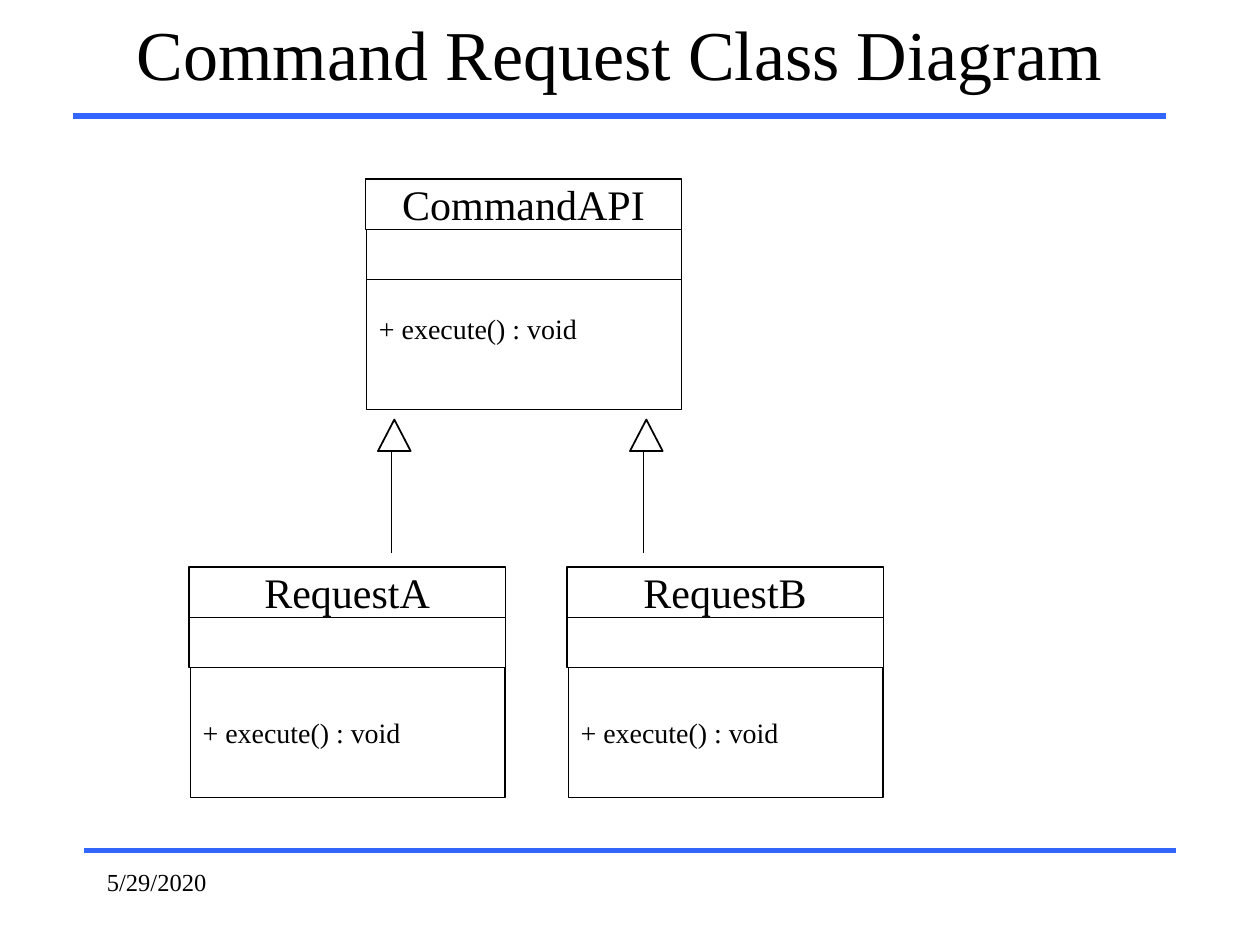
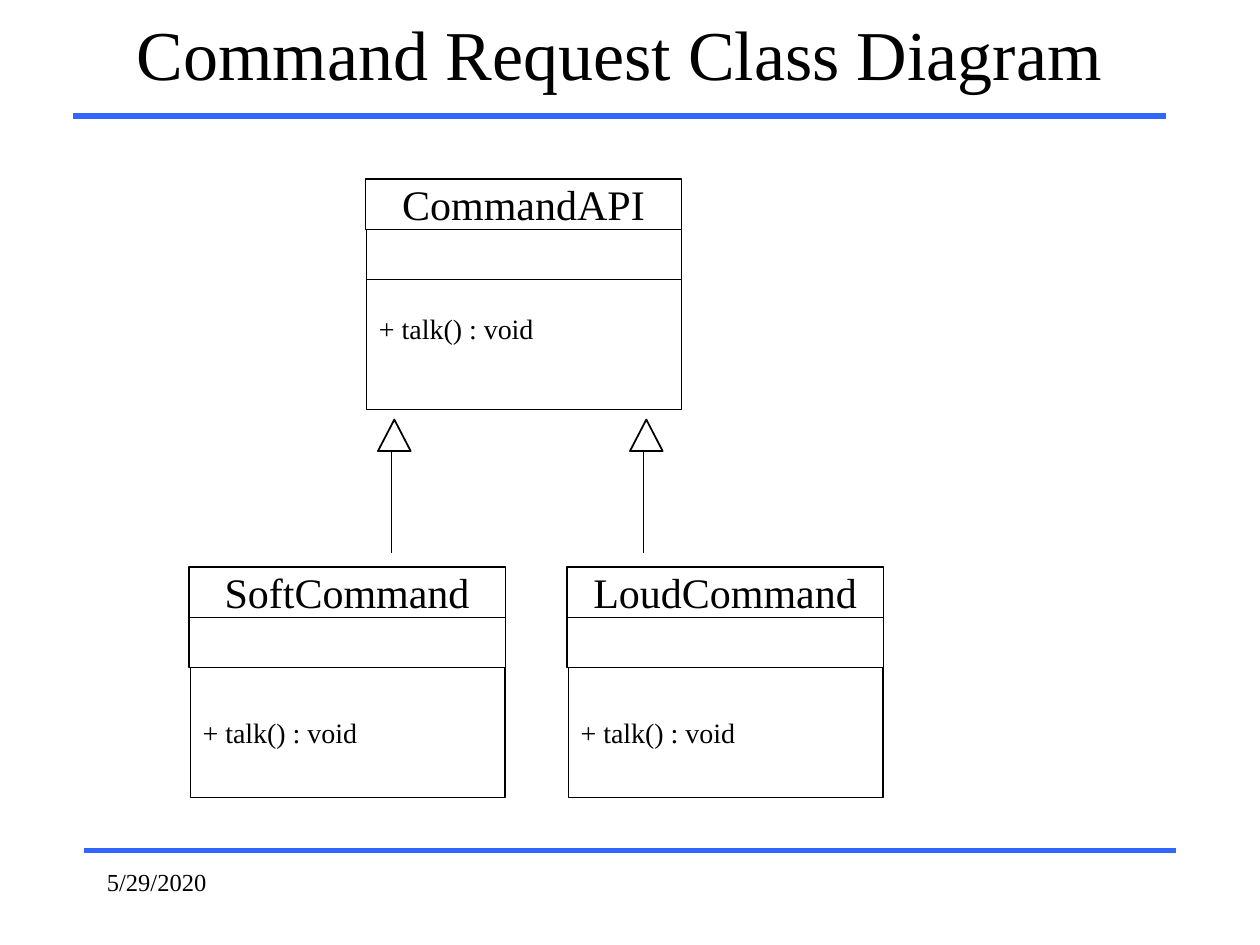
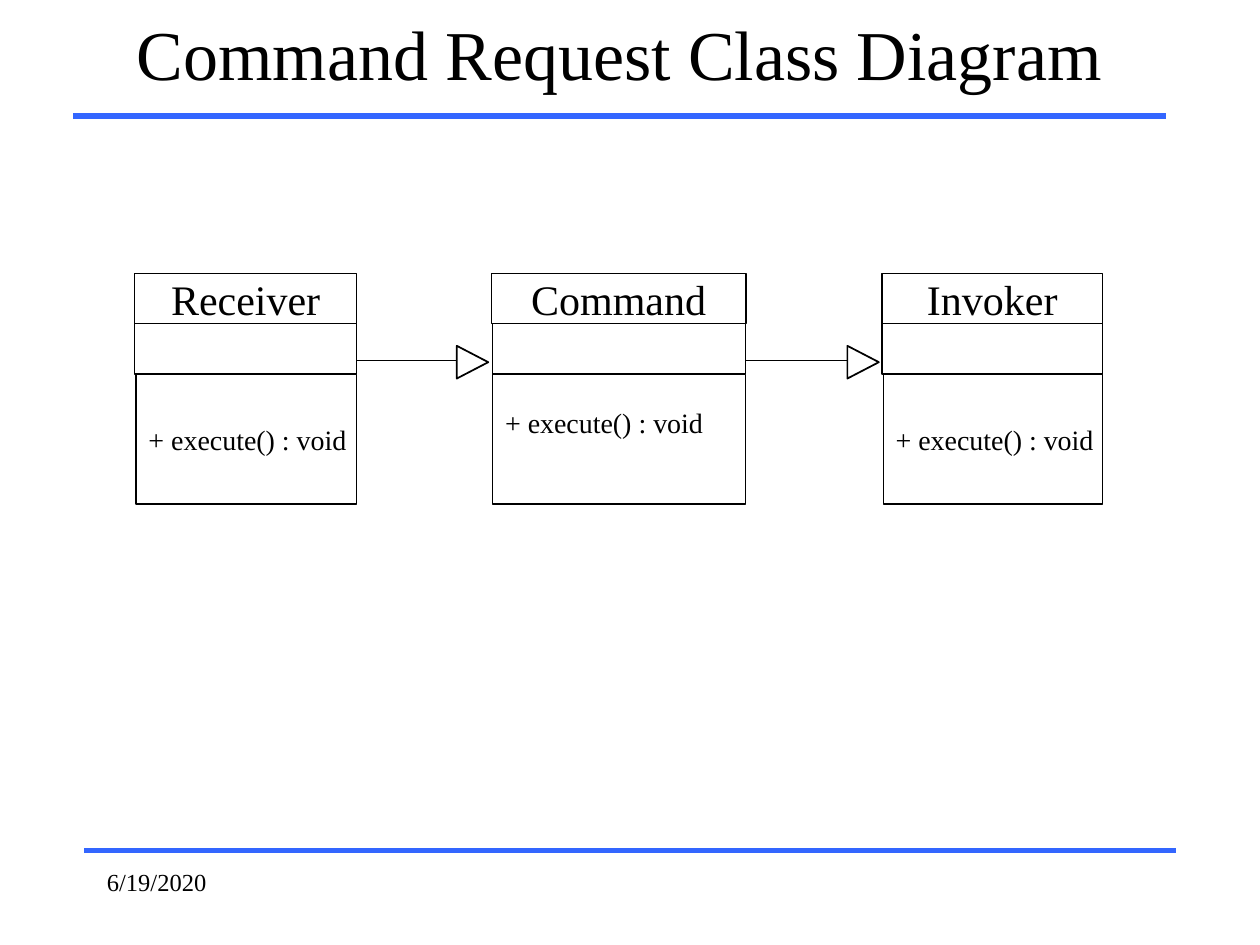
"""Build three class diagram slides for the command pattern."""
from pptx import Presentation
from pptx import util as u
from pptx.dml import color
from pptx.enum import shapes, text
from pptx.oxml import ns

INK, PAPER, RULE = "000000", "FFFFFF", "3366FF"
TITLE = "Command Request Class Diagram"
SHAPE = shapes.MSO_SHAPE
LEFT, CENTER = text.PP_ALIGN.LEFT, text.PP_ALIGN.CENTER
TOP, MIDDLE = text.MSO_ANCHOR.TOP, text.MSO_ANCHOR.MIDDLE
ROW, METHODS, INSET = 0.4, 1.03, 0.01


def rgb(value):
    return color.RGBColor.from_string(value)


def inches(*values):
    return [u.Inches(v) for v in values]


class Deck:
    """Hold the style and the current slide."""

    def __init__(self):
        self.prs = Presentation()
        self.prs.slide_width, self.prs.slide_height = inches(10, 7.5)

    def new_slide(self, title, date):
        self.s = self.prs.slides.add_slide(self.prs.slide_layouts[5])
        self.line(self.s, (0.67, 6.75), (9.33, 6.75), RULE, 3)
        self.line(self.s, (0.58, 0.92), (9.25, 0.92), RULE, 3)
        sp = self.s.shapes.title
        sp.left, sp.top, sp.width, sp.height = inches(0.58, 0, 8.67, 0.83)
        self.label(sp, title, 40, CENTER, MIDDLE)
        sp = self.s.shapes.add_textbox(*inches(0.75, 6.83, 2.08, 0.5))
        self.label(sp, date, 14, LEFT, TOP)

    def label(self, sp, words, size, align, anchor, **frame):
        tf = sp.text_frame
        settings = dict(word_wrap=True, vertical_anchor=anchor,
                        auto_size=text.MSO_AUTO_SIZE.NONE, **frame)
        for name, value in settings.items():
            setattr(tf, name, value)
        p = tf.paragraphs[0]
        p.alignment = align
        r = p.add_run()
        r.text = words
        for name, value in dict(name="Times New Roman", size=u.Pt(size)).items():
            setattr(r.font, name, value)
        r.font.color.rgb = rgb(INK)

    def line(self, parent, start, end, ink, weight):
        c = parent.shapes.add_connector(
            shapes.MSO_CONNECTOR.STRAIGHT, *inches(*start, *end))
        c.line.color.rgb = rgb(ink)
        c.line.width = u.Pt(weight)
        props = c._element.spPr
        props.append(props.makeelement(ns.qn("a:effectLst"), {}))

    def shape(self, parent, kind, box, weight):
        sp = parent.shapes.add_shape(kind, *inches(*box))
        sp.shadow.inherit = False
        sp.fill.solid()
        sp.fill.fore_color.rgb = rgb(PAPER)
        sp.line.color.rgb = rgb(INK)
        sp.line.width = u.Pt(weight)
        return sp

    def class_box(self, left, top, width, name, method, base=False):
        group = self.s.shapes.add_group_shape()
        rows = []
        for inset, height in ((0, ROW), (INSET * base, ROW), (INSET, METHODS)):
            box = (left + inset, top, width - inset, height)
            rows.append(self.shape(group, SHAPE.RECTANGLE, box, 0.75))
            top += height
        self.label(rows[0], name, 24, CENTER, MIDDLE)
        self.label(rows[2], f"+ {method}() : void", 16, LEFT, MIDDLE,
                   margin_right=0, margin_bottom=u.Inches(0.31 if base else 0.05))

    def arrow(self, start, end, head, rotation=0):
        group = self.s.shapes.add_group_shape()
        self.line(group, start, end, INK, 0.5)
        sp = self.shape(group, SHAPE.ISOSCELES_TRIANGLE, (*head, 0.26, 0.25), 1)
        sp.rotation = rotation

    def hierarchy(self, children, method):
        self.class_box(2.9, 1.42, 2.51, "CommandAPI", method, base=True)
        for i, child in enumerate(children):
            x = 3 + 2 * i
            self.arrow((x + 0.11, 4.39), (x + 0.11, 3.47), (x, 3.33))
            self.class_box(1.5 + 3 * i, 4.5, 2.51, child, method)

    def chain(self, classes, method):
        for name, left, width, base in classes:
            self.class_box(left, 2.17, width, name, method, base)
        for (_, left, width, _), (_, target, _, _) in zip(classes, classes[1:]):
            self.arrow((left + width, 2.86), (target - 0.16, 2.86),
                       (target - 0.28, 2.75), 90)


deck = Deck()
for children, method in ((("RequestA", "RequestB"), "execute"),
                         (("SoftCommand", "LoudCommand"), "talk")):
    deck.new_slide(TITLE, "5/29/2020")
    deck.hierarchy(children, method)

deck.new_slide(TITLE, "6/19/2020")
deck.chain([("Receiver", 1.07, 1.76, False),
            ("Command", 3.9, 2.02, True),
            ("Invoker", 7, 1.75, False)], "execute")

deck.prs.save("out.pptx")
